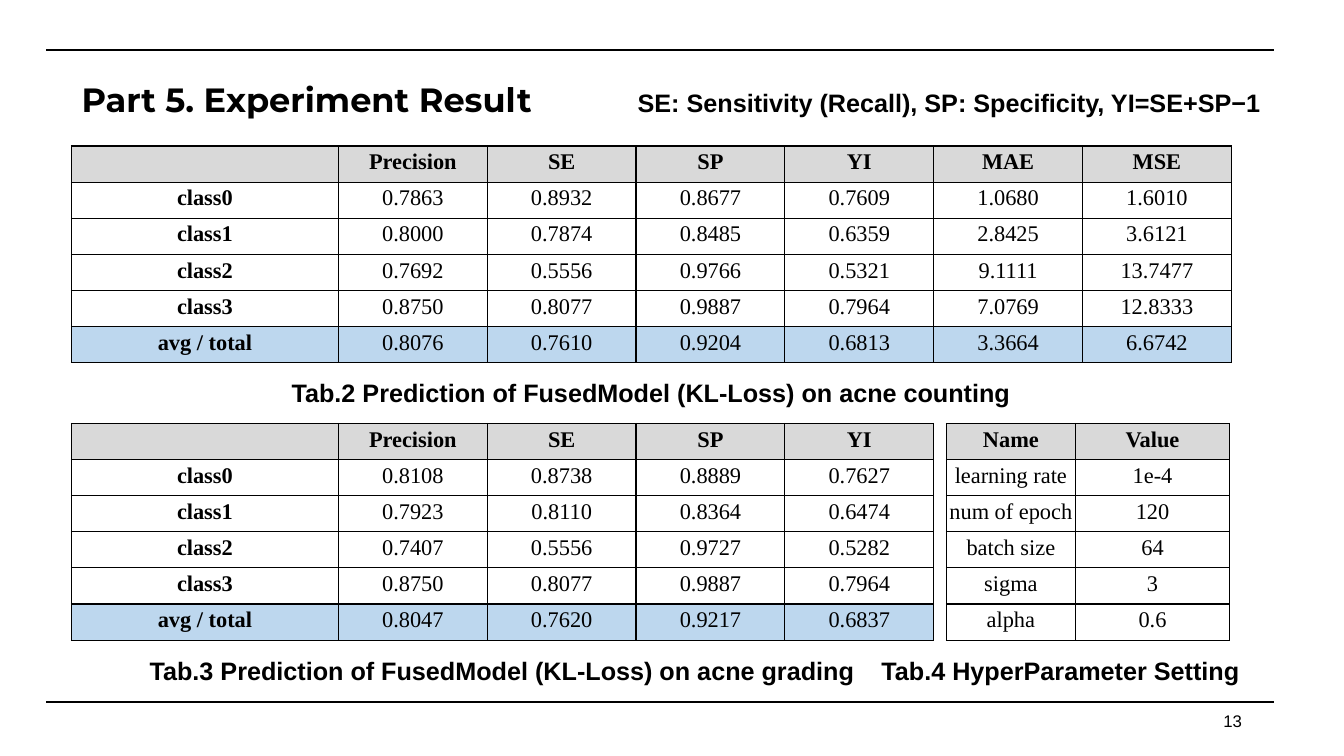
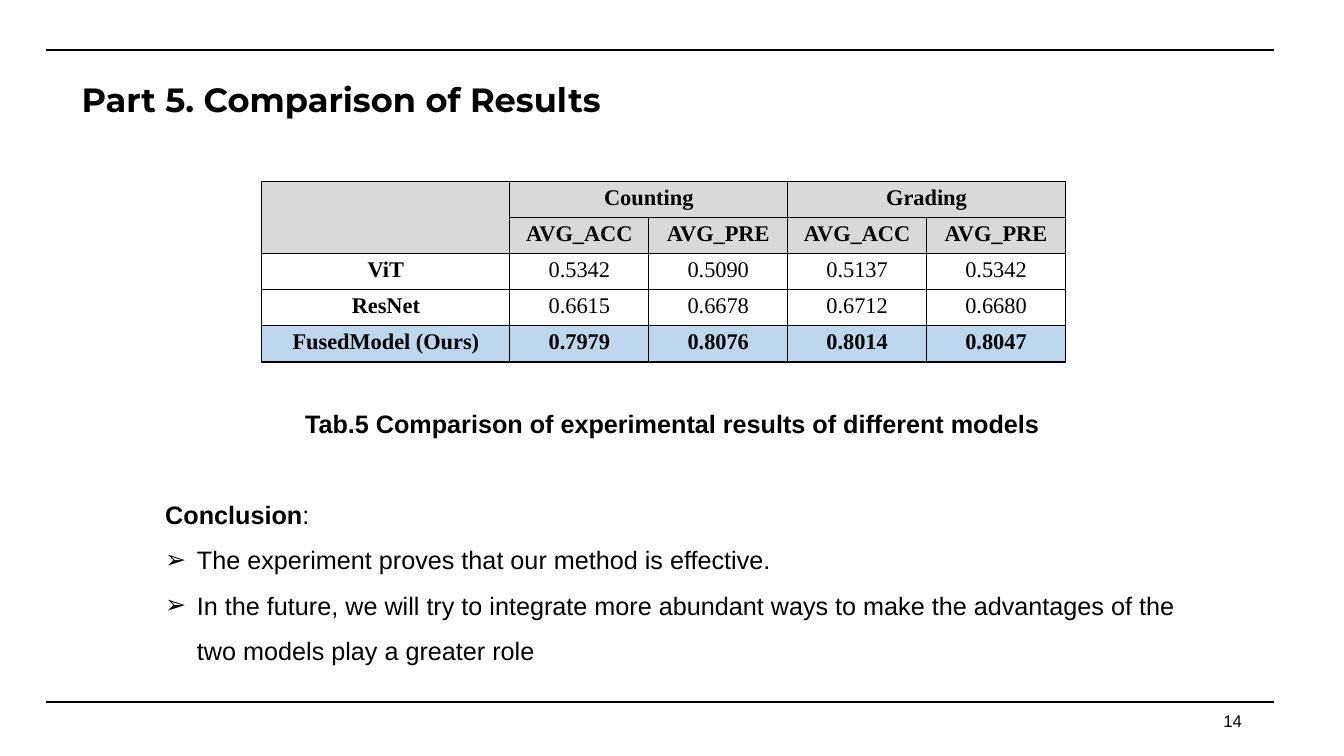
from lxml import etree
from pptx import Presentation
from pptx.dml.color import RGBColor
from pptx.enum import shapes, text
from pptx.oxml.ns import qn
from pptx.util import Cm, Pt

COLORS = {"ink": "000000", "paper": "FFFFFF", "header": "D9D9D9", "total": "BDD7EE"}
INK = RGBColor.from_string(COLORS["ink"])
ALIGN = text.PP_ALIGN
MIDDLE = text.MSO_ANCHOR.MIDDLE
ROW_HEIGHT = 0.91


def add_text(slide, left, top, width, content, size=18, bold=True, align=ALIGN.CENTER):
    sp = slide.shapes.add_textbox(Cm(left), Cm(top), Cm(width), Cm(1.02))
    tf = sp.text_frame
    tf.word_wrap = True
    tf.vertical_anchor = MIDDLE
    p = tf.paragraphs[0]
    p.text = content
    p.alignment = align
    p.font.name, p.font.size, p.font.bold = "Arial", Pt(size), bold
    p.font.color.rgb = INK


def add_grid(slide, left, top, widths, rows, headers=1, summary=True, bold_summary=False):
    """Add a ruled table; with a summary, the last row is tinted and row labels are bold."""
    frame = slide.shapes.add_table(len(rows), len(widths), Cm(left), Cm(top),
                                   Cm(sum(widths)), Cm(ROW_HEIGHT * len(rows)))
    table = frame.table
    table.first_row = table.horz_banding = False
    for column, width in zip(table.columns, widths):
        column.width = Cm(width)
    for r, values in enumerate(rows):
        table.rows[r].height = Cm(ROW_HEIGHT)
        is_header = r < headers
        is_summary = summary and r == len(rows) - 1
        fill = "header" if is_header else "total" if is_summary else "paper"
        for c, value in enumerate(values):
            cell = table.cell(r, c)
            cell.margin_left = cell.margin_right = cell.margin_top = Cm(0.03)
            cell.margin_bottom = Cm(0.13)
            cell.vertical_anchor = MIDDLE
            tcPr = cell._tc.get_or_add_tcPr()
            for side in ("a:lnL", "a:lnR", "a:lnT", "a:lnB"):
                ln = etree.SubElement(tcPr, qn(side), w=str(Pt(1)))
                solid = etree.SubElement(ln, qn("a:solidFill"))
                etree.SubElement(solid, qn("a:srgbClr"), val=COLORS["ink"])
            cell.fill.solid()
            cell.fill.fore_color.rgb = RGBColor.from_string(COLORS[fill])
            p = cell.text_frame.paragraphs[0]
            p.text = value
            p.alignment = ALIGN.CENTER
            p.font.name, p.font.size = "Times New Roman", Pt(16)
            p.font.bold = is_header or (summary and c == 0) or (is_summary and bold_summary)
            p.font.color.rgb = INK
    return table


prs = Presentation()
prs.slide_width, prs.slide_height = Cm(33.87), Cm(19.05)

# Shared frame: title, page number and two rules
slides = []
for number, layout, title in [(13, 5, "Part 5. Experiment Result"),
                              (14, 1, "Part 5. Comparison of Results")]:
    slide = prs.slides.add_slide(prs.slide_layouts[layout])
    sp = slide.shapes.title
    sp.left, sp.top, sp.width, sp.height = Cm(1.8), Cm(0.71), Cm(29.21), Cm(3.68)
    sp.text_frame.vertical_anchor = MIDDLE
    p = sp.text_frame.paragraphs[0]
    p.text = title
    p.alignment = ALIGN.LEFT
    p.line_spacing = 0.9
    p.font.name, p.font.size, p.font.bold = "Montserrat", Pt(24), True
    p.font.color.rgb = INK
    add_text(slide, 23.93, 17.65, 7.62, str(number), size=12, bold=False, align=ALIGN.RIGHT)
    for y in (1.27, 17.68):
        rule = slide.shapes.add_connector(shapes.MSO_CONNECTOR.STRAIGHT,
                                          Cm(1.17), Cm(y), Cm(32.11), Cm(y))
        rule.line.color.rgb = INK
        rule.line.width = Pt(1.5)
        etree.SubElement(rule._element.spPr, qn("a:effectLst"))
    slides.append(slide)
results, comparison = slides

# Experiment results
LABEL, METRIC = 6.73, 3.75
add_grid(results, 1.8, 3.68, [LABEL] + [METRIC] * 6, [
    ["", "Precision", "SE", "SP", "YI", "MAE", "MSE"],
    ["class0", "0.7863", "0.8932", "0.8677", "0.7609", "1.0680", "1.6010"],
    ["class1", "0.8000", "0.7874", "0.8485", "0.6359", "2.8425", "3.6121"],
    ["class2", "0.7692", "0.5556", "0.9766", "0.5321", "9.1111", "13.7477"],
    ["class3", "0.8750", "0.8077", "0.9887", "0.7964", "7.0769", "12.8333"],
    ["avg / total", "0.8076", "0.7610", "0.9204", "0.6813", "3.3664", "6.6742"],
])
add_grid(results, 1.8, 10.67, [LABEL] + [METRIC] * 4, [
    ["", "Precision", "SE", "SP", "YI"],
    ["class0", "0.8108", "0.8738", "0.8889", "0.7627"],
    ["class1", "0.7923", "0.8110", "0.8364", "0.6474"],
    ["class2", "0.7407", "0.5556", "0.9727", "0.5282"],
    ["class3", "0.8750", "0.8077", "0.9887", "0.7964"],
    ["avg / total", "0.8047", "0.7620", "0.9217", "0.6837"],
])
add_grid(results, 23.85, 10.67, [3.25, 3.89], [
    ["Name", "Value"],
    ["learning rate", "1e-4"],
    ["num of epoch", "120"],
    ["batch size", "64"],
    ["sigma", "3"],
    ["alpha", "0.6"],
], summary=False)
add_text(results, 4.6, 9.37, 23.62, "Tab.2 Prediction of FusedModel (KL-Loss) on acne counting")
add_text(results, 1.9, 16.38, 21.51, "Tab.3 Prediction of FusedModel (KL-Loss) on acne grading")
add_text(results, 21.9, 16.38, 9.65, "Tab.4 HyperParameter Setting")
add_text(results, 15.82, 2.06, 16.5, "SE: Sensitivity (Recall), SP: Specificity, YI=SE+SP−1",
         align=ALIGN.LEFT)

# Comparison of models
table = add_grid(comparison, 6.6, 4.57, [6.25] + [3.5] * 4, [
    ["", "Counting", "", "Grading", ""],
    ["", "AVG_ACC", "AVG_PRE", "AVG_ACC", "AVG_PRE"],
    ["ViT", "0.5342", "0.5090", "0.5137", "0.5342"],
    ["ResNet", "0.6615", "0.6678", "0.6712", "0.6680"],
    ["FusedModel (Ours)", "0.7979", "0.8076", "0.8014", "0.8047"],
], headers=2, bold_summary=True)
for first, last in [((0, 0), (1, 0)), ((0, 1), (0, 2)), ((0, 3), (0, 4))]:
    table.cell(*first).merge(table.cell(*last))
add_text(comparison, 7.04, 10.16, 19.81,
         "Tab.5 Comparison of experimental results of different models")

# Conclusion list
body = comparison.placeholders[1]
body.left, body.top, body.width, body.height = Cm(3.91), Cm(12.07), Cm(27.08), Cm(4.72)
tf = body.text_frame
tf.auto_size = text.MSO_AUTO_SIZE.NONE
for i, runs in enumerate([
    [("Conclusion", True), (":", False)],
    [("The experiment proves that our method is effective.", False)],
    [("In the future, we will try to integrate more abundant ways to make the advantages "
      "of the two models play a greater role", False)],
]):
    p = tf.add_paragraph() if i else tf.paragraphs[0]
    p.line_spacing = 1.5
    p.space_before = Pt(0)
    p.font.name, p.font.size = "Arial", Pt(18)
    p.font.color.rgb = INK
    for content, bold in runs:
        r = p.add_run()
        r.text = content
        r.font.bold = bold
    pPr = p._p.get_or_add_pPr()
    indent = Cm(0.8) if i else 0
    pPr.set("marL", str(indent))
    pPr.set("indent", str(-indent))
    bullet = etree.Element(qn("a:buChar"), char="➢") if i else etree.Element(qn("a:buNone"))
    pPr.find(qn("a:defRPr")).addprevious(bullet)

prs.save("out.pptx")
